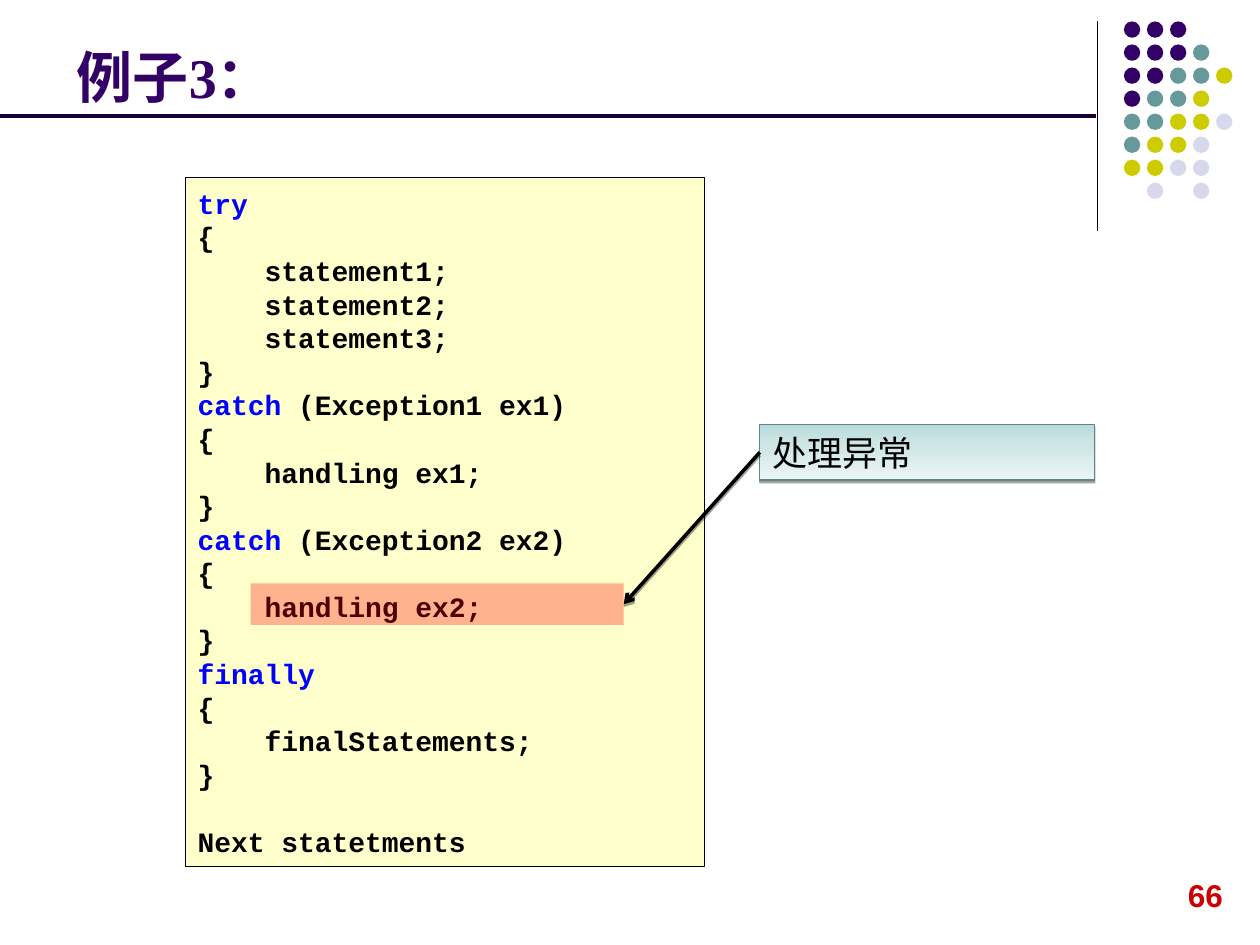
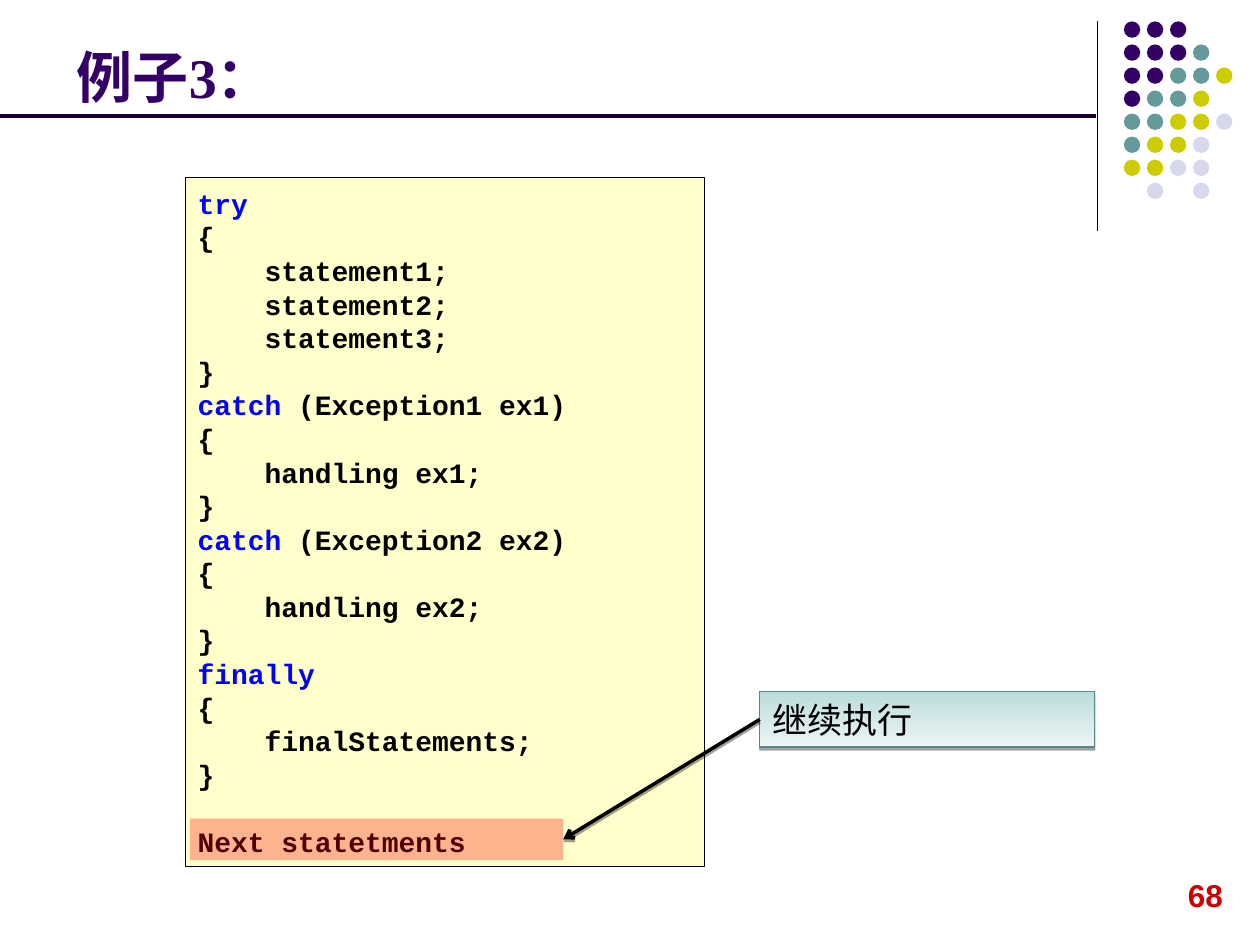
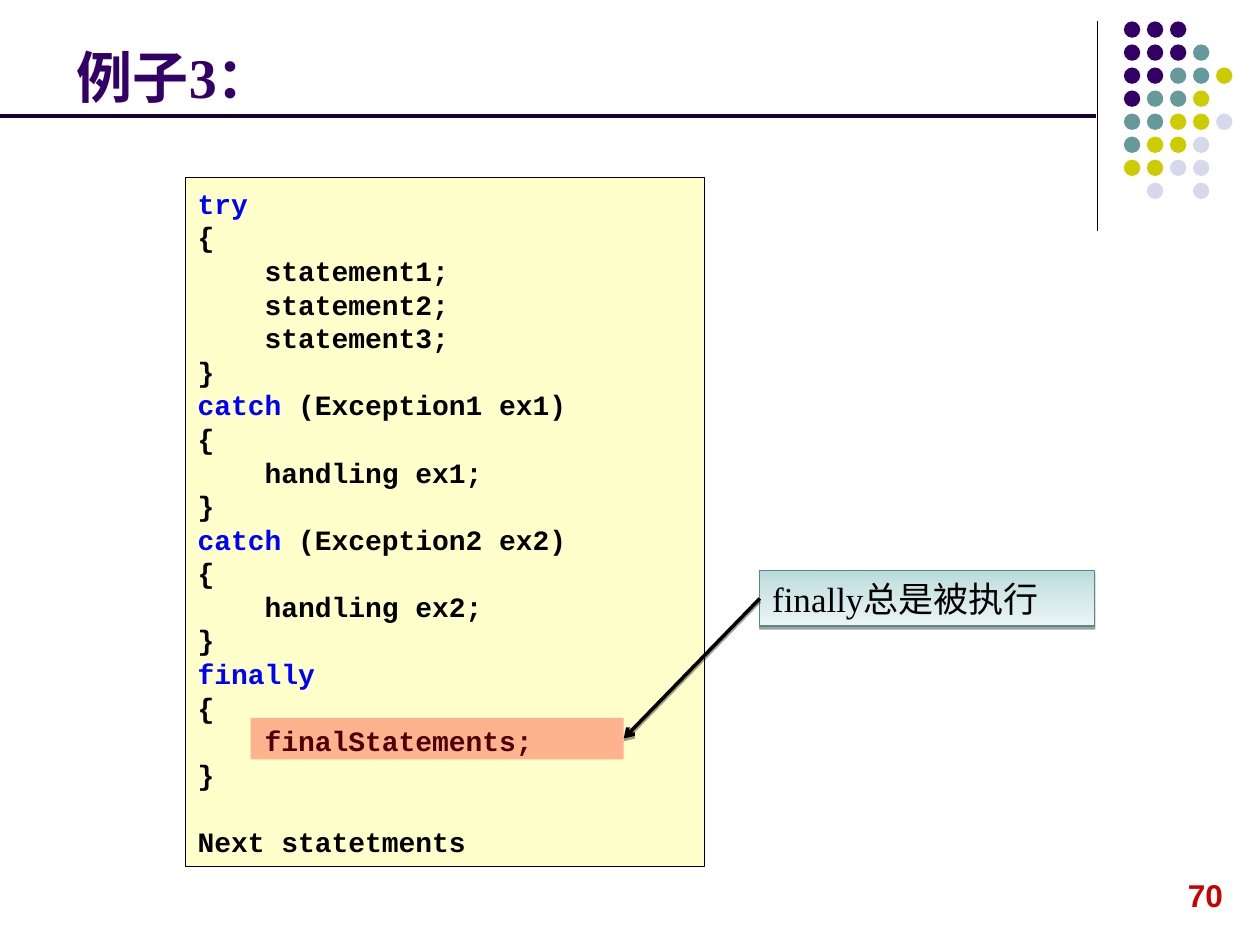
from dataclasses import dataclass

from lxml.etree import SubElement
from pptx import Presentation
from pptx.dml.color import RGBColor
from pptx.enum.shapes import MSO_CONNECTOR, MSO_SHAPE
from pptx.enum.text import MSO_ANCHOR
from pptx.oxml.ns import qn
from pptx.util import Inches, Pt

TITLE = "例子3："
CODE = [
    "try",
    "{",
    "    statement1;",
    "    statement2;",
    "    statement3;",
    "}",
    "catch (Exception1 ex1)",
    "{",
    "    handling ex1;",
    "}",
    "catch (Exception2 ex2)",
    "{",
    "    handling ex2;",
    "}",
    "finally",
    "{",
    "    finalStatements;",
    "}",
    "",
    "Next statetments",
]
KEYWORDS = {"try", "catch", "finally"}
STEPS = [
    {"number": "66", "line": "    handling ex2;", "note": "处理异常", "note_top": 3.37},
    {"number": "68", "line": "Next statetments", "note": "继续执行", "note_top": 5.49},
    {"number": "70", "line": "    finalStatements;", "note": "finally总是被执行", "note_top": 4.53},
]
DOT_ROWS = ["PPP", "PPPT", "PPTTY", "PTTY", "TTYYL", "TYYL", "YYLL", " L L"]


@dataclass(frozen=True)
class Theme:
    purple: str = "330066"
    teal: str = "669999"
    yellow: str = "CCCC00"
    lavender: str = "D8D8EC"
    rule: str = "190033"
    black: str = "000000"
    number: str = "CC0000"
    keyword: str = "0000FF"
    code_fill: str = "FFFFCC"
    highlight: str = "FF0000"
    note_line: str = "598888"
    note_stops: tuple = ((0, "B9DBDB"), (35, "CEE5E5"), (100, "ECF5F5"))
    serif: str = "Times New Roman"
    sans: str = "Arial"
    mono: str = "Courier New"
    chinese: str = "Noto Sans CJK SC"
    title_size: int = 32
    note_size: int = 20
    number_size: int = 18
    code_size: int = 16
    code_pitch: float = 19.2


THEME = Theme()
DOT_COLORS = {"P": THEME.purple, "T": THEME.teal, "Y": THEME.yellow, "L": THEME.lavender}
DOT_PITCH = 1.28 / 7


def rgb(color):
    return RGBColor.from_string(color)


def write_text(shape, text, *, size, font, color=THEME.black, bold=False,
               anchor=MSO_ANCHOR.TOP, wrap=True, pitch=None, keywords=()):
    frame = shape.text_frame
    frame.word_wrap = wrap
    frame.vertical_anchor = anchor
    paragraph, gap = None, 0
    for line in text.split("\n"):
        if not line:
            gap += pitch
            continue
        paragraph = frame.add_paragraph() if paragraph else frame.paragraphs[0]
        if pitch:
            paragraph.line_spacing = Pt(pitch)
        if gap:
            paragraph.space_before = Pt(gap)
            gap = 0
        word = line.split()[0]
        if word in keywords:
            parts = [(word, THEME.keyword), (line[len(word):], color)]
        else:
            parts = [(line, color)]
        for part, part_color in parts:
            if part:
                run = paragraph.add_run()
                run.text = part
                run.font.size = Pt(size)
                run.font.name = font
                run.font.bold = bold
                run.font.color.rgb = rgb(part_color)
                SubElement(run.font._element, qn("a:ea"), typeface=THEME.chinese)


def add_box(shapes, kind, left, top, width, height, fill=None, line=None):
    shape = shapes.add_shape(kind, Inches(left), Inches(top), Inches(width), Inches(height))
    shape.shadow.inherit = False
    if fill:
        shape.fill.solid()
        shape.fill.fore_color.rgb = rgb(fill)
    if line:
        shape.line.color.rgb = rgb(line)
        shape.line.width = Pt(0.75)
    else:
        shape.line.fill.background()
    return shape


def add_text_box(slide, left, top, width, height, text, **text_format):
    box = slide.shapes.add_textbox(Inches(left), Inches(top), Inches(width), Inches(height))
    write_text(box, text, **text_format)


def add_line(slide, start, end, color, width):
    points = [Inches(value) for value in (*start, *end)]
    connector = slide.shapes.add_connector(MSO_CONNECTOR.STRAIGHT, *points)
    connector.line.color.rgb = rgb(color)
    connector.line.width = Pt(width)
    SubElement(connector._element.spPr, qn("a:effectLst"))
    return connector


def add_drop_shadow(shape):
    effects = shape._element.spPr.find(qn("a:effectLst"))
    shadow = SubElement(effects, qn("a:outerShdw"), blurRad="0", dist=str(Pt(1.6)),
                        dir="5400000", rotWithShape="0")
    color = SubElement(shadow, qn("a:srgbClr"), val=THEME.black)
    SubElement(color, qn("a:alpha"), val="37000")


def add_frame(slide, number):
    add_line(slide, (8.71, 0.17), (8.71, 1.83), THEME.black, 0.75)
    dots = slide.shapes.add_group_shape().shapes
    for row, pattern in enumerate(DOT_ROWS):
        for column, key in enumerate(pattern):
            if key in DOT_COLORS:
                add_box(dots, MSO_SHAPE.OVAL, 8.92 + column * DOT_PITCH,
                        0.17 + row * DOT_PITCH, 0.13, 0.13, DOT_COLORS[key])
    add_text_box(slide, 9.33, 6.9, 0.48, 0.4, number, size=THEME.number_size,
                 font=THEME.sans, color=THEME.number, bold=True, wrap=False)
    add_text_box(slide, 0.51, 0.21, 8.17, 0.71, TITLE, size=THEME.title_size,
                 font=THEME.serif, color=THEME.purple, bold=True, anchor=MSO_ANCHOR.BOTTOM)
    add_line(slide, (0, 0.92), (8.7, 0.92), THEME.rule, 2.25)


def add_code(slide):
    code = add_box(slide.shapes, MSO_SHAPE.RECTANGLE, 1.47, 1.41, 4.12, 5.47,
                   THEME.code_fill, THEME.black)
    code.text_frame.margin_top = Inches(0.07)
    write_text(code, "\n".join(CODE), size=THEME.code_size, font=THEME.mono, bold=True,
               wrap=False, pitch=THEME.code_pitch, keywords=KEYWORDS)
    for paragraph in code.text_frame.paragraphs:
        paragraph._element.get_or_add_pPr().set("algn", "l")


def add_highlight(slide, line):
    left = 1.99 if line.startswith(" ") else 1.51
    top = 1.43 + CODE.index(line) * THEME.code_pitch / 72
    highlight = add_box(slide.shapes, MSO_SHAPE.RECTANGLE, left, top, 2.96, 0.33,
                        THEME.highlight)
    color = highlight._element.spPr.find(qn("a:solidFill")).find(qn("a:srgbClr"))
    SubElement(color, qn("a:alpha"), val="30000")
    return highlight


def add_note(slide, text, top):
    note = add_box(slide.shapes, MSO_SHAPE.RECTANGLE, 6.03, top, 2.66, 0.44,
                   line=THEME.note_line)
    note.fill.gradient()
    note.fill.gradient_angle = 270
    stops = note._element.spPr.find(qn("a:gradFill")).find(qn("a:gsLst"))
    stops.clear()
    for position, color in THEME.note_stops:
        stop = SubElement(stops, qn("a:gs"), pos=str(position * 1000))
        SubElement(stop, qn("a:srgbClr"), val=color)
    add_drop_shadow(note)
    write_text(note, text, size=THEME.note_size, font=THEME.serif, anchor=MSO_ANCHOR.MIDDLE)
    note.text_frame.paragraphs[0]._element.get_or_add_pPr().set("algn", "l")
    return note


def add_arrow(slide, note, highlight):
    arrow = add_line(slide, (0, 0), (1, 1), THEME.black, 2)
    arrow.begin_connect(note, 1)
    arrow.end_connect(highlight, 3)
    SubElement(arrow.line._get_or_add_ln(), qn("a:tailEnd"), type="arrow")
    add_drop_shadow(arrow)


def main():
    presentation = Presentation()
    presentation.slide_width = Inches(10)
    presentation.slide_height = Inches(7.5)
    for step in STEPS:
        slide = presentation.slides.add_slide(presentation.slide_layouts[6])
        add_frame(slide, step["number"])
        add_code(slide)
        highlight = add_highlight(slide, step["line"])
        note = add_note(slide, step["note"], step["note_top"])
        add_arrow(slide, note, highlight)
    presentation.save("out.pptx")


if __name__ == "__main__":
    main()
